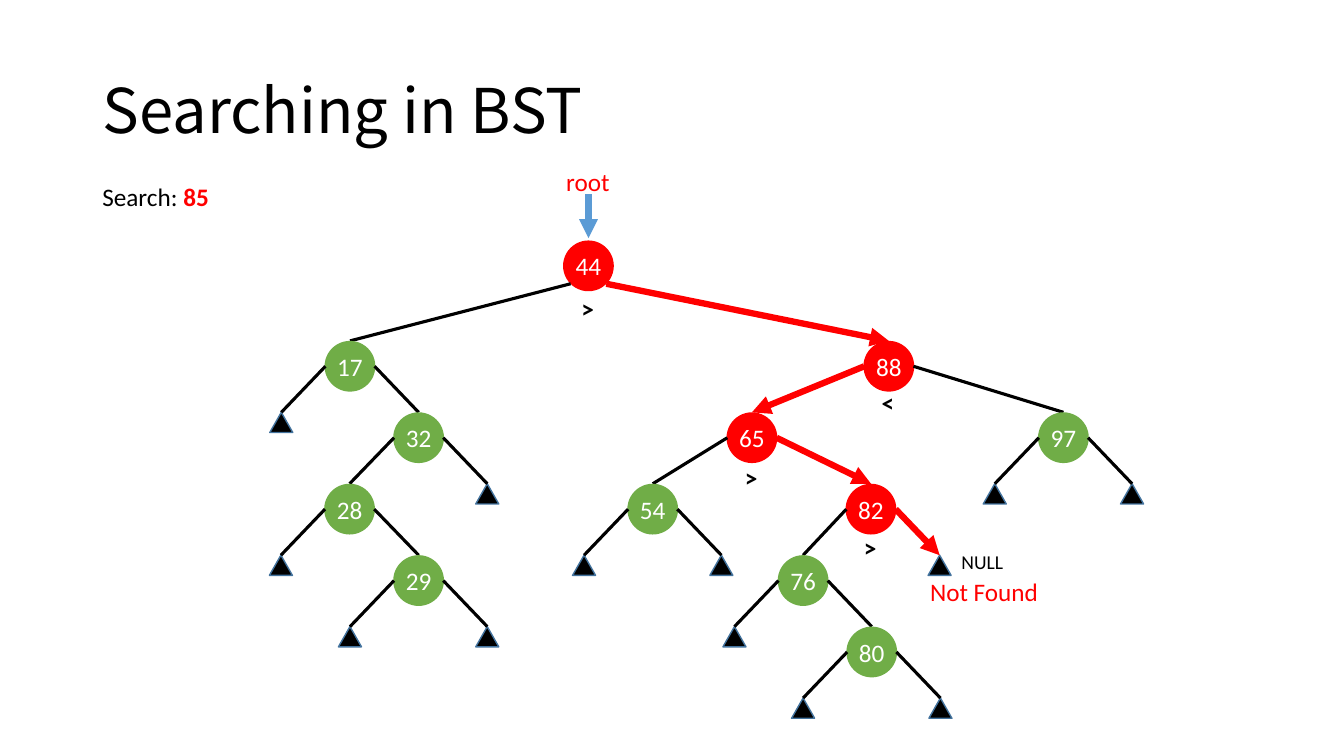
from lxml import etree
from pptx import Presentation
from pptx.dml.color import RGBColor
from pptx.enum.shapes import MSO_CONNECTOR, MSO_SHAPE
from pptx.enum.text import MSO_ANCHOR, MSO_AUTO_SIZE, PP_ALIGN
from pptx.oxml.ns import qn
from pptx.util import Cm, Pt

STRAIGHT = MSO_CONNECTOR.STRAIGHT
OVAL, TRIANGLE = MSO_SHAPE.OVAL, MSO_SHAPE.ISOSCELES_TRIANGLE
MIDDLE = MSO_ANCHOR.MIDDLE
NO_FIT, GROW = MSO_AUTO_SIZE.NONE, MSO_AUTO_SIZE.SHAPE_TO_FIT_TEXT
LEFT, CENTER = PP_ALIGN.LEFT, PP_ALIGN.CENTER

COLORS = {"black": "000000", "white": "FFFFFF", "red": "FF0000",
          "green": "70AD47", "blue": "5B9BD5", "leaf_line": "43739E"}
ROOT, TARGET = 44, 85
DIAMETER, LEAF_W, LEAF_H, LEAF_DX = 1.28, 0.58, 0.51, 1.73
LEVELS = [6.06] + [8.59 + 1.8 * i for i in range(6)]
# key: (centre x, level, left child, right child)
TREE = {
    44: (14.83, 0, 17, 88),
    17: (8.82, 1, None, 32),
    32: (10.55, 2, 28, None),
    28: (8.81, 3, None, 29),
    29: (10.55, 4, None, None),
    88: (22.4, 1, 65, 97),
    65: (18.95, 2, 54, 82),
    97: (26.8, 2, None, None),
    54: (16.45, 3, None, None),
    82: (21.95, 3, 76, None),
    76: (20.24, 4, None, 80),
    80: (21.97, 5, None, None),
}
SIGN_TOPS = {44: 7.26, 88: 9.63, 65: 11.53, 82: 13.28}


def rgb(name):
    """Return the colour with this name."""
    return RGBColor.from_string(COLORS[name])


def add_run(p, text, size=18, color="black", bold=False, font="Calibri"):
    """Add a formatted run to a paragraph."""
    r = p.add_run()
    r.text = text
    r.font.size, r.font.bold, r.font.name = Pt(size), bold, font
    r.font.color.rgb = rgb(color)
    return r


class TreeSlide:
    """Draws the elements of a search tree on one slide."""

    def __init__(self, prs):
        """Start a title-only slide."""
        self.s = prs.slides.add_slide(prs.slide_layouts[5])

    def title(self, text):
        """Place and format the title."""
        sp = self.s.shapes.title
        sp.left, sp.top, sp.width, sp.height = Cm(2.33), Cm(1.01), Cm(29.21), Cm(3.68)
        tf = sp.text_frame
        tf.word_wrap, tf.auto_size, tf.vertical_anchor = True, NO_FIT, MIDDLE
        p = tf.paragraphs[0]
        p.alignment, p.line_spacing = LEFT, 0.9
        add_run(p, text, size=44, font="Noto Sans CJK SC")

    def label(self, x, y, w, text, h=1.03, **style):
        """Add a one-line text box and return its paragraph."""
        tf = self.s.shapes.add_textbox(Cm(x), Cm(y), Cm(w), Cm(h)).text_frame
        tf.word_wrap, tf.auto_size = False, GROW
        p = tf.paragraphs[0]
        add_run(p, text, **style)
        return p

    def line(self, x1, y1, x2, y2, color="black", arrow=False):
        """Add a plain line or a thick arrow."""
        sp = self.s.shapes.add_connector(STRAIGHT, Cm(x1), Cm(y1), Cm(x2), Cm(y2))
        sp.line.color.rgb = rgb(color)
        sp.line.width = Pt(4.5 if arrow else 2.25)
        if arrow:
            etree.SubElement(sp.line._get_or_add_ln(), qn("a:tailEnd"), type="triangle")
        etree.SubElement(sp._element.spPr, qn("a:effectLst"))

    def shape(self, kind, x, y, w, h, fill):
        """Add a filled shape whose top centre is at x, y."""
        sp = self.s.shapes.add_shape(kind, Cm(x - w / 2), Cm(y), Cm(w), Cm(h))
        sp.shadow.inherit = False
        sp.fill.solid()
        sp.fill.fore_color.rgb = rgb(fill)
        return sp

    def node(self, key, x, y, fill):
        """Add a circle with its key."""
        sp = self.shape(OVAL, x, y, DIAMETER, DIAMETER, fill)
        sp.line.fill.background()
        tf = sp.text_frame
        tf.margin_left = tf.margin_right = tf.margin_top = tf.margin_bottom = 0
        tf.word_wrap, tf.vertical_anchor = False, MIDDLE
        tf.paragraphs[0].alignment = CENTER
        add_run(tf.paragraphs[0], str(key), color="white")

    def leaf(self, x, y):
        """Add the triangle of an empty subtree."""
        sp = self.shape(TRIANGLE, x, y, LEAF_W, LEAF_H, "black")
        sp.line.color.rgb = rgb("leaf_line")
        sp.line.width = Pt(1)

    def subtree(self, key, visited=True):
        """Draw a node, its edges and everything below it."""
        x, level, *children = TREE[key]
        y = LEVELS[level]
        self.node(key, x, y, "red" if visited else "green")
        if visited:
            self.label(x - 0.43, SIGN_TOPS[key], 0.94,
                       ">" if TARGET > key else "<", bold=True)
        dx, dy = (0.45, 1.09) if key == ROOT else (0.62, 0.64)
        for side, child in zip((-1, 1), children):
            followed = visited and (side == 1) == (TARGET > key)
            end_x = TREE[child][0] if child else x + side * LEAF_DX
            end_y = LEVELS[level + 1]
            if not child:
                self.leaf(end_x, end_y)
            self.line(x + side * dx, y + dy, end_x, end_y,
                      "red" if followed else "black", followed)
            if child:
                self.subtree(child, followed)


def main():
    """Build and save the slide."""
    prs = Presentation()
    prs.slide_width, prs.slide_height = Cm(33.87), Cm(19.05)
    tree = TreeSlide(prs)
    tree.title("Searching in BST")
    add_run(tree.label(2.33, 4.45, 3.33, "Search: "), str(TARGET), color="red", bold=True)
    tree.label(14.02, 4.06, 1.63, "root", color="red")
    tree.line(14.83, 4.9, 14.83, 6, "blue", arrow=True)
    tree.subtree(ROOT)
    tree.label(23.98, 13.72, 1.98, "NULL", h=0.86, size=14)
    tree.label(23.19, 14.4, 3.51, "Not Found", color="red")
    prs.save("out.pptx")


if __name__ == "__main__":
    main()
